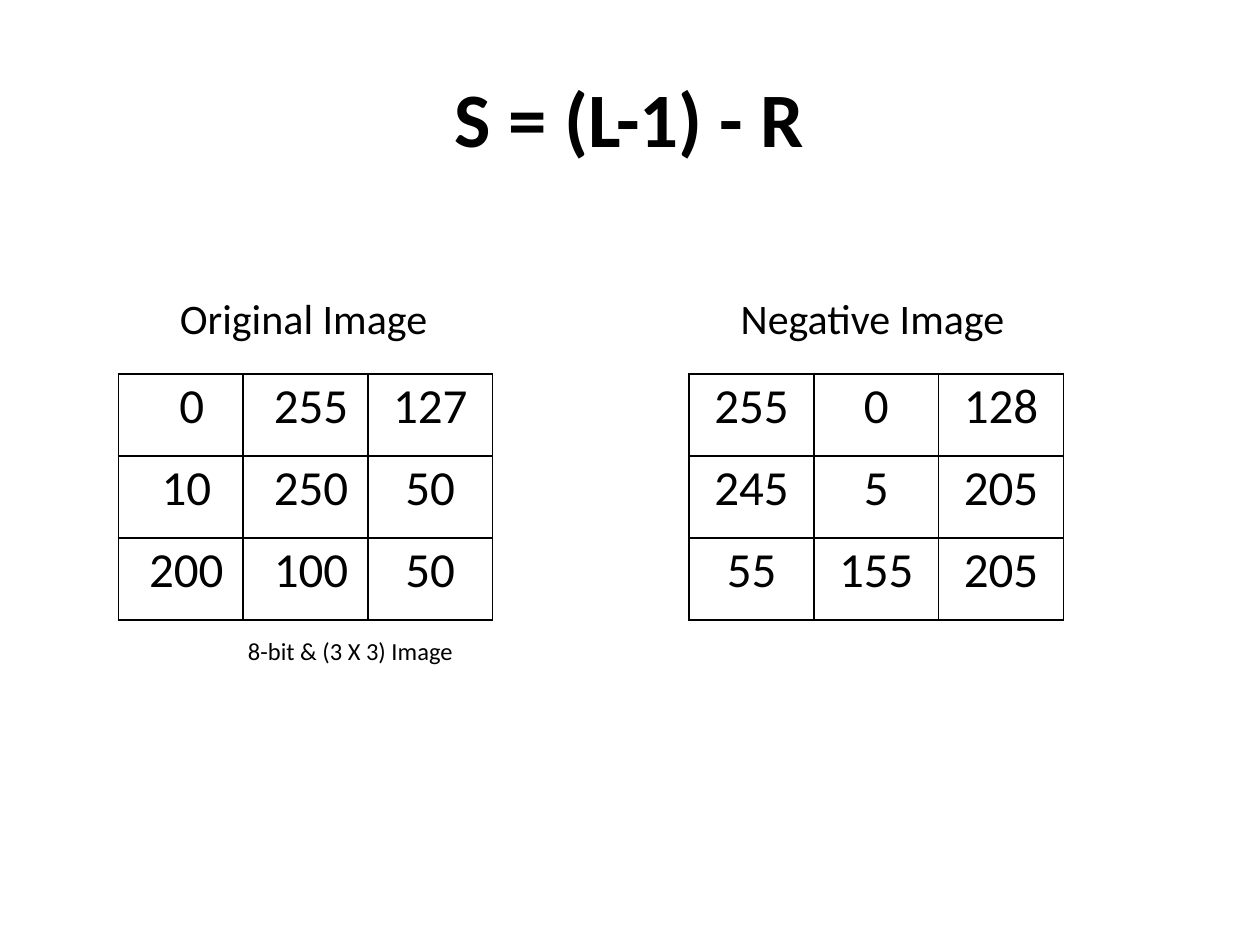
"""Build a slide comparing an image matrix with its negative."""
from lxml import etree
from pptx import Presentation
from pptx.dml.color import RGBColor
from pptx.enum.text import MSO_ANCHOR, PP_ALIGN
from pptx.oxml.ns import qn
from pptx.util import Pt

CENTER, LEFT = PP_ALIGN.CENTER, PP_ALIGN.LEFT
MIDDLE, TOP = MSO_ANCHOR.MIDDLE, MSO_ANCHOR.TOP
COLORS = {"ink": "000000", "paper": "FFFFFF"}
FONT = "Calibri"
COL_W, ROW_H, TABLE_TOP = 71.28, 46.8, 213.84
SPACE_W = 6.3


def format_text(tf, size, align, bold=False):
    p = tf.paragraphs[0]
    p.alignment = align
    r = p.runs[0]
    r.font.name = FONT
    r.font.size = Pt(size)
    r.font.bold = bold
    r.font.color.rgb = RGBColor.from_string(COLORS["ink"])


def add_border(cell):
    tc_pr = cell._tc.get_or_add_tcPr()
    for i, side in enumerate(("lnL", "lnR", "lnT", "lnB")):
        ln = etree.Element(qn(f"a:{side}"), w=str(Pt(1)))
        fill = etree.SubElement(ln, qn("a:solidFill"))
        etree.SubElement(fill, qn("a:srgbClr"), val=COLORS["ink"])
        tc_pr.insert(i, ln)


prs = Presentation()
prs.slide_width, prs.slide_height = Pt(720), Pt(540)
s = prs.slides.add_slide(prs.slide_layouts[6])

texts = [
    ("S = (L-1) - R", 36, 21.6, 648, 90, 44, CENTER, MIDDLE, True, True),
    ("Original Image", 95.76, 163.44, 156.96, 36, 24, LEFT, TOP, False, False),
    ("Negative Image", 416.16, 163.44, 167.04, 36, 24, LEFT, TOP, False, False),
    ("8-bit & (3 X 3) Image", 134.64, 360, 146.16, 24.48, 14, LEFT, TOP, False, True),
]
for text, x, y, w, h, size, align, anchor, bold, wrap in texts:
    tf = s.shapes.add_textbox(Pt(x), Pt(y), Pt(w), Pt(h)).text_frame
    tf.text = text
    tf.word_wrap = wrap
    tf.vertical_anchor = anchor
    format_text(tf, size, align, bold)

original = [[0, 255, 127], [10, 250, 50], [200, 100, 50]]
negative = [[255 - value for value in row] for row in original]
original_indents = [[2, 1, 0], [1, 1, 0], [1, 1, 0]]
negative_indents = [[0] * 3] * 3

for x, matrix, indents in (
    (67.68, original, original_indents),
    (393.84, negative, negative_indents),
):
    table = s.shapes.add_table(
        3, 3, Pt(x), Pt(TABLE_TOP), Pt(3 * COL_W), Pt(3 * ROW_H)
    ).table
    table.first_row = table.horz_banding = False
    for col in table.columns:
        col.width = Pt(COL_W)
    for i, row in enumerate(table.rows):
        row.height = Pt(ROW_H)
        for j, cell in enumerate(row.cells):
            cell.text_frame.text = str(matrix[i][j])
            format_text(cell.text_frame, 28, CENTER)
            cell.margin_left = Pt(3 + SPACE_W * indents[i][j])
            cell.margin_right = Pt(3)
            cell.margin_top = cell.margin_bottom = Pt(1.5)
            cell.fill.solid()
            cell.fill.fore_color.rgb = RGBColor.from_string(COLORS["paper"])
            add_border(cell)

prs.save("out.pptx")
